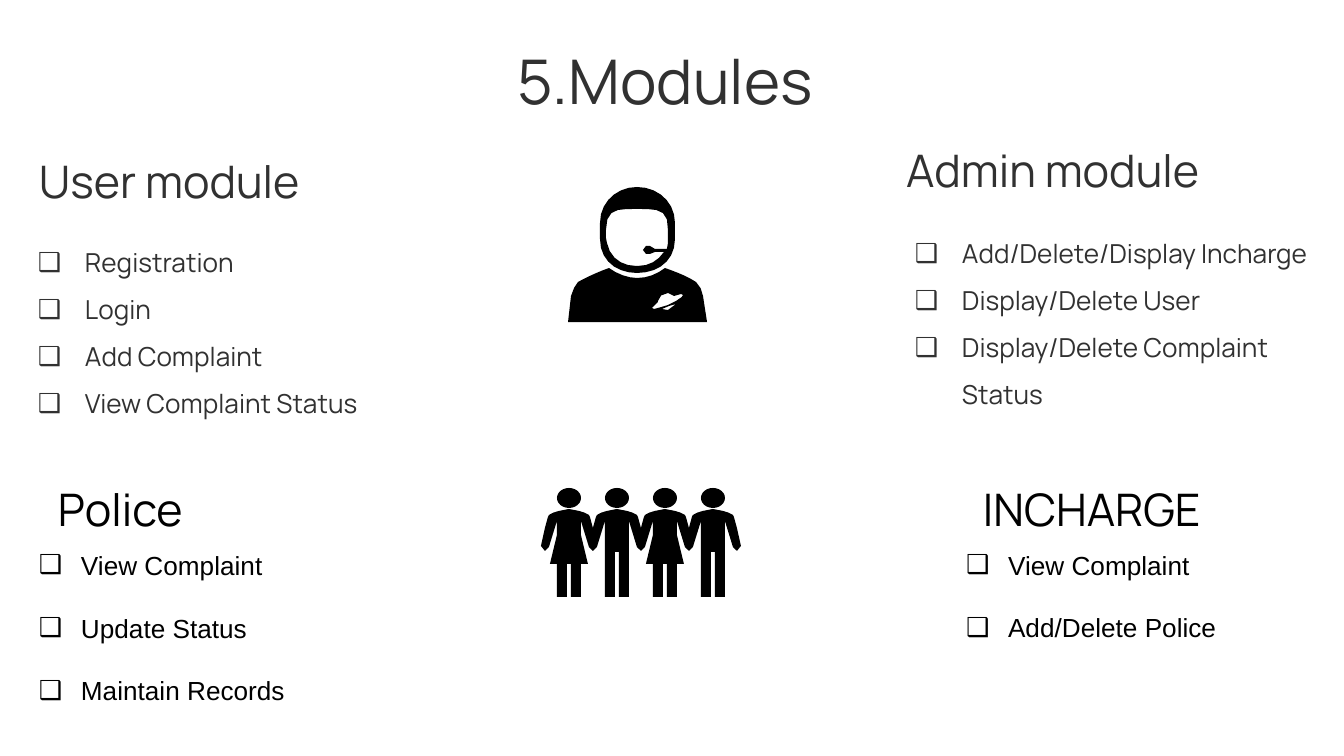
from math import dist

from lxml.etree import SubElement
from pptx import Presentation
from pptx.dml.color import RGBColor
from pptx.enum.shapes import MSO_SHAPE
from pptx.enum.text import MSO_ANCHOR, MSO_AUTO_SIZE, PP_ALIGN
from pptx.oxml.ns import qn
from pptx.util import Pt

TITLE = ("5.Modules", (472, 37, 386, 85))

# Upper modules use roomy lines, lower ones a gap between items.
UPPER = dict(font="Manrope", color="313131", indent=(67, -47), line=1.5, gap=0,
             inset=(13, 13), anchor=MSO_ANCHOR.MIDDLE)
LOWER = dict(font="Arial", color="000000", indent=(42, -42), line=1, gap=16.9,
             inset=(13, 7), anchor=MSO_ANCHOR.TOP)
MODULES = [
    ("User module", (26, 155, 426, 52), (5, 218, 390, 214), UPPER,
     ["Registration", "Login", "Add Complaint", "View Complaint Status"]),
    ("Admin module", (893, 144, 426, 52), (882, 209, 452, 214), UPPER,
     ["Add/Delete/Display Incharge", "Display/Delete User",
      "Display/Delete Complaint Status"]),
    ("Police", (45, 475, 241, 67), (26, 542, 280, 172), LOWER,
     ["View Complaint", "Update Status", "Maintain Records"]),
    ("INCHARGE", (970, 475, 278, 67), (953, 542, 293, 109), LOWER,
     ["View Complaint", "Add/Delete Police"]),
]

# Each outline is a list of contours; "C" takes three points, "L" takes one.
HELMET = [
    "M 637 187 C 617 187 600 202 600 223 L 600 239 C 600 261 617 273 637 273 "
    "C 658 273 675 261 675 239 L 675 223 C 675 202 658 187 637 187",
    "M 668 238 C 668 240 668 241 668 243 C 668 245 667 247 667 249 L 655 249 "
    "C 654 247 652 246 650 246 L 646 246 C 644 246 643 248 643 250 "
    "C 643 252 644 254 646 254 L 650 254 C 652 254 654 253 655 252 L 664 252 "
    "C 658 261 649 266 638 266 L 636 266 C 622 266 610 258 607 243 "
    "C 606 241 606 239 606 238 L 606 230 C 606 208 618 209 637 209 "
    "C 656 209 669 208 668 230",
]
SUIT = [
    "M 703 296 C 702 290 700 286 696 282 C 687 276 676 272 665 268 "
    "C 657 274 648 278 637 278 C 628 278 617 274 609 268 "
    "C 598 272 589 276 578 282 C 575 285 573 290 571 296 L 568 322 L 707 322",
    "M 668 310 C 665 310 663 310 662 309 C 664 309 667 308 669 306 "
    "C 672 305 673 305 676 304 C 675 308 672 310 668 310",
    "M 668 305 C 664 306 659 308 654 309 C 653 309 652 309 652 308 "
    "C 652 306 655 304 658 302 L 658 301 C 658 297 663 293 668 293 "
    "C 671 293 672 293 674 296 C 676 294 679 294 681 294 "
    "C 682 294 683 294 683 295 C 684 296 677 301 668 305",
]
# Right halves of the figures, measured from their centre line.
SHOULDER = "M 0 509 C 4 509 7 510 10 511 C 14 512 17 513 20 515 L 21 517 L 24 528"
FREE_HAND = "M 28 546 C 28 548 27 550 24 551"
INNER_ARM = "M 24 551 C 22 551 21 549 20 547 L 12 521 "
WOMAN = INNER_ARM + "L 12 535 L 19 564 L 12 564 L 12 597 L 2 597 L 2 564"
MAN = INNER_ARM + "L 12 597 L 2 597 L 2 552"
FIGURES = [WOMAN, MAN, WOMAN, MAN]
FIRST_CENTRE, PITCH = 569, 48
HEAD_TOP, HEAD_W, HEAD_H = 488, 24, 20


def px(n):
    return round(n * 914400 / 134.4)


def rgb(color):
    return RGBColor.from_string(color)


def place(sp, box):
    sp.left, sp.top, sp.width, sp.height = map(px, box)


def setup_frame(sp, inset, anchor):
    tf = sp.text_frame
    tf.word_wrap = True
    tf.auto_size = MSO_AUTO_SIZE.NONE
    tf.vertical_anchor = anchor
    tf.margin_left = tf.margin_right = px(inset[0])
    tf.margin_top = tf.margin_bottom = px(inset[1])
    return tf


def style(p, font, size, color):
    for r in p.runs:
        r.font.name, r.font.size = font, Pt(size)
        r.font.color.rgb = rgb(color)


def add_heading(s, text, box, look):
    sp = s.shapes.add_textbox(*map(px, box))
    tf = setup_frame(sp, look["inset"], look["anchor"])
    tf.text = text
    style(tf.paragraphs[0], "Manrope", 24, look["color"])


def add_list(s, items, box, look):
    sp = s.shapes.add_textbox(*map(px, box))
    tf = setup_frame(sp, look["inset"], MSO_ANCHOR.TOP)
    for i, item in enumerate(items):
        p = tf.add_paragraph() if i else tf.paragraphs[0]
        p.text = item
        p.line_spacing = look["line"]
        if i:
            p.space_before = Pt(look["gap"])
        pPr = p._p.get_or_add_pPr()
        margin, hang = look["indent"]
        pPr.set("marL", str(px(margin)))
        pPr.set("indent", str(px(hang)))
        SubElement(SubElement(pPr, qn("a:buClr")), qn("a:srgbClr"), val=look["color"])
        SubElement(pPr, qn("a:buFont"), typeface="Arial")
        SubElement(pPr, qn("a:buChar"), char="❑")
        style(p, look["font"], 14, look["color"])


def flatten(contour):
    """Turn a contour into points, with each curve cut into short lines."""
    tokens = contour.split()
    points, i = [], 0
    while i < len(tokens):
        count = 6 if tokens[i] == "C" else 2
        n = [float(t) for t in tokens[i + 1:i + 1 + count]]
        i += 1 + count
        if count == 2:
            points.append(tuple(n))
            continue
        curve = [points[-1], (n[0], n[1]), (n[2], n[3]), (n[4], n[5])]
        steps = max(1, round(dist(curve[0], curve[3]) / 7))
        for k in range(1, steps + 1):
            t = k / steps
            weights = ((1 - t) ** 3, 3 * t * (1 - t) ** 2, 3 * t * t * (1 - t), t ** 3)
            points.append(tuple(sum(w * c[axis] for w, c in zip(weights, curve))
                                for axis in (0, 1)))
    return points


def mirror(points):
    return [(-x, y) for x, y in reversed(points)]


def shift(points, dx):
    return [(x + dx, y) for x, y in points]


def blacken(sp):
    sp.shadow.inherit = False
    sp.fill.solid()
    sp.fill.fore_color.rgb = rgb("000000")
    sp.line.fill.background()


def add_outline(group, contours):
    contours = [[(px(x), px(y)) for x, y in points] for points in contours]
    builder = group.shapes.build_freeform(*contours[0][0], scale=1.0)
    for i, points in enumerate(contours):
        if i:
            builder.move_to(*points[0])
        builder.add_line_segments(points[1:], close=True)
    blacken(builder.convert_to_shape())


def add_people(group):
    """Draw the heads, then all bodies as one outline joined at the hands."""
    centres = [FIRST_CENTRE + i * PITCH for i in range(len(FIGURES))]
    shoulder, hand = flatten(SHOULDER), flatten(FREE_HAND)
    upper, lower = [], []
    for centre, half in zip(centres, FIGURES):
        head = (centre - HEAD_W / 2, HEAD_TOP, HEAD_W, HEAD_H)
        blacken(group.shapes.add_shape(MSO_SHAPE.OVAL, *map(px, head)))
        legs = flatten(half)
        upper += shift(mirror(shoulder) + shoulder[1:], centre)
        lower = shift(legs + mirror(legs), centre) + lower
    add_outline(group, [upper + shift(hand, centres[-1]) + lower
                        + shift(mirror(hand), centres[0])])


def main():
    prs = Presentation()
    prs.slide_width, prs.slide_height = px(1344), px(756)
    s = prs.slides.add_slide(prs.slide_layouts[5])

    text, box = TITLE
    place(s.shapes.title, box)
    tf = setup_frame(s.shapes.title, (13, 13), MSO_ANCHOR.MIDDLE)
    tf.text = text
    tf.paragraphs[0].alignment = PP_ALIGN.CENTER
    style(tf.paragraphs[0], "Manrope", 33, "313131")

    for heading, heading_box, list_box, look, items in MODULES:
        add_heading(s, heading, heading_box, look)
        add_list(s, items, list_box, look)

    astronaut = s.shapes.add_group_shape()
    for outline in (HELMET, SUIT):
        add_outline(astronaut, [flatten(c) for c in outline])

    add_people(s.shapes.add_group_shape())
    prs.save("out.pptx")


if __name__ == "__main__":
    main()
